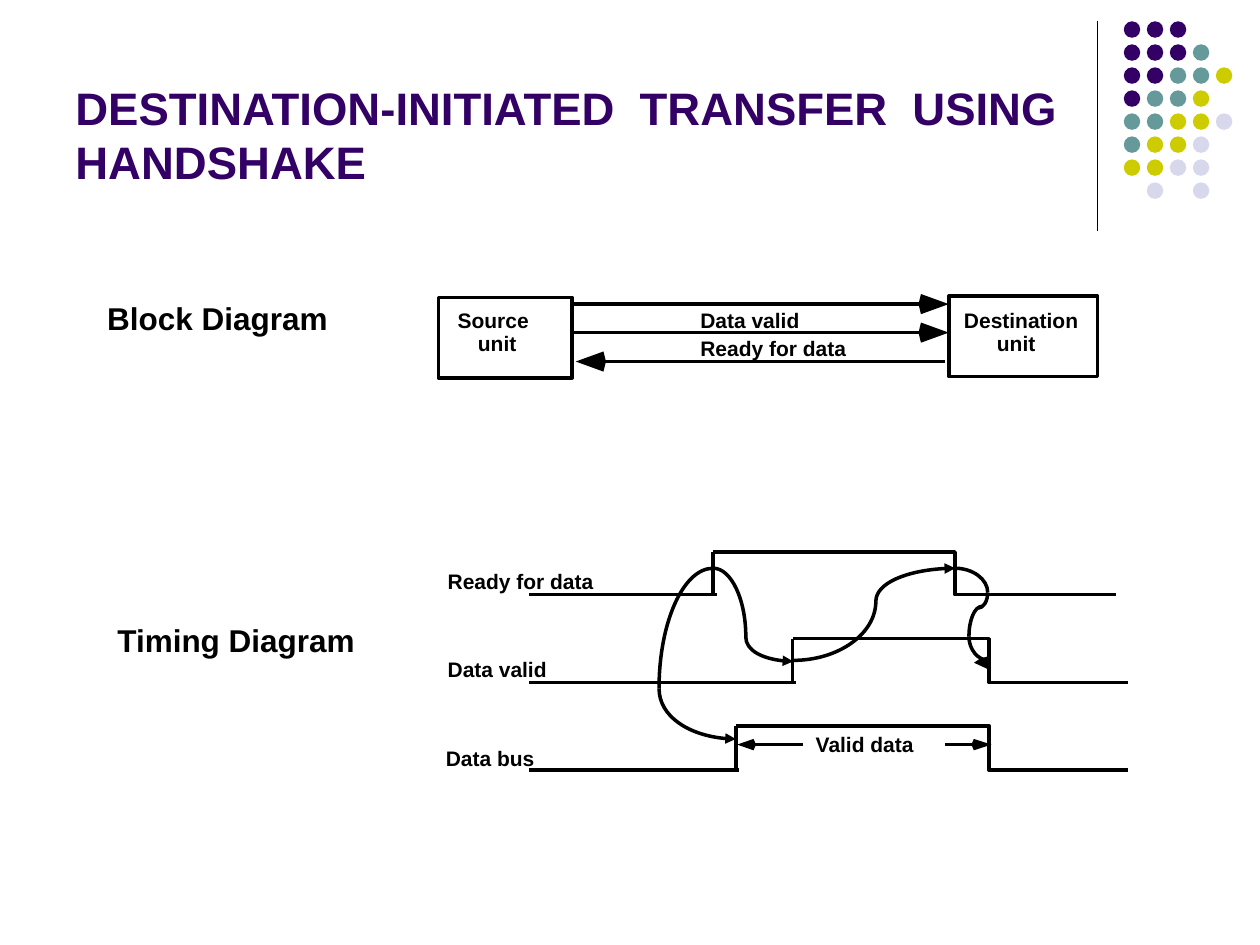
import dataclasses
import typing

import lxml.etree
import pptx
import pptx.dml.color
import pptx.enum.shapes
import pptx.enum.text
import pptx.oxml.ns
import pptx.util

Pt = pptx.util.Pt
qn = pptx.oxml.ns.qn
Point = typing.Tuple[float, float]


@dataclasses.dataclass(frozen=True)
class Theme:
    font: str = "Arial"
    ink: str = "000000"
    paper: str = "FFFFFF"
    purple: str = "330066"
    teal: str = "669999"
    yellow: str = "CCCC00"
    lavender: str = "D8D8EC"
    title_size: float = 26
    heading_size: float = 18
    label_size: float = 12
    stroke: float = 2
    thin_stroke: float = 0.75


THEME = Theme()


@dataclasses.dataclass(frozen=True)
class Label:
    text: str
    left: float
    top: float
    width: float
    height: float = 20.2
    size: float = THEME.label_size


@dataclasses.dataclass(frozen=True)
class Signal:
    rise: float
    fall: float
    end: float
    high: float
    low: float


@dataclasses.dataclass(frozen=True)
class Arrow:
    start: float
    tip: float
    y: float
    head_length: float
    head_width: float


@dataclasses.dataclass(frozen=True)
class Arc:
    upright_end: Point
    level_end: Point
    arrow: bool = False


BEZIER_RATIO = 0.55
SIGNAL_START = 302.4
DOT_ROWS = ("PPP", "PPPT", "PPTTY", "PTTY", "TTYYL", "TYYL", "YYLL", " L L")
DOT_COLOURS = {"P": THEME.purple, "T": THEME.teal, "Y": THEME.yellow, "L": THEME.lavender}
DOT_LEFT, DOT_TOP, DOT_PITCH, DOT_SIZE = 642.2, 12.2, 13.15, 9.4

LABELS = (
    Label("Block Diagram", 54.2, 169.9, 141, 26.6, THEME.heading_size),
    Label("Timing Diagram", 60, 353.9, 151, 26.6, THEME.heading_size),
    Label("Source", 254.4, 173.8, 57),
    Label("unit", 266, 187.2, 38),
    Label("Destination", 543.8, 173.8, 81),
    Label("unit", 562.6, 187.2, 38),
    Label("Data valid", 393.1, 173.8, 73),
    Label("Ready for data", 393.1, 189.8, 99),
    Label("Ready for data", 248.7, 323, 99),
    Label("Data valid", 248.7, 373, 73),
    Label("Data bus", 247.7, 424.1, 68),
    Label("Valid data", 459, 415.9, 73),
)
SIGNALS = (
    Signal(407.5, 545.8, 637.9, 315.4, 339.8),
    Signal(452.9, 565.2, 644.4, 365, 390),
    Signal(420.5, 565.2, 644.4, 414.7, 440),
)
ARROWS = (
    Arrow(328.3, 542.2, 173.8, 17.3, 11.5),
    Arrow(328.3, 542.2, 190.1, 17.3, 11.5),
    Arrow(540, 329, 206.6, 17.3, 11.5),
    Arrow(458.6, 421.2, 425.5, 10.8, 6.5),
    Arrow(540, 566.6, 425.5, 11.5, 6.5),
)
ARCS = (
    Arc((376.6, 393.5), (407.5, 324.7)),
    Arc((376.6, 393.5), (420.5, 422.3), True),
    Arc((426.2, 364), (407.5, 324.7)),
    Arc((426.2, 364), (453.3, 378), True),
    Arc((500.5, 343.6), (453.3, 377.4)),
    Arc((500.5, 343.6), (545.8, 324.7), True),
    Arc((553.7, 363.6), (565.2, 377.4)),
    Arc((553.7, 363.6), (561.1, 346.5)),
    Arc((564.4, 338.6), (559, 347.5)),
    Arc((564.4, 338.6), (545.5, 324.7)),
)


def colour(value: str) -> pptx.dml.color.RGBColor:
    return pptx.dml.color.RGBColor.from_string(value)


def style_line(line, width: float = THEME.stroke) -> None:
    line.color.rgb = colour(THEME.ink)
    line.width = Pt(width)


def style_text(frame, text: str, size: float, ink: str):
    frame.text = text
    paragraph = frame.paragraphs[0]
    font = paragraph.runs[0].font
    font.name, font.size, font.bold = THEME.font, Pt(size), True
    font.color.rgb = colour(ink)
    return paragraph


def draw_line(slide, start: Point, end: Point, width: float = THEME.stroke) -> None:
    connector = slide.shapes.add_connector(
        pptx.enum.shapes.MSO_CONNECTOR.STRAIGHT, *(Pt(value) for value in start + end))
    style_line(connector.line, width)
    lxml.etree.SubElement(connector._element.spPr, qn("a:effectLst"))


def draw_path(slide, points: typing.Sequence[Point], filled: bool = False):
    (left, top), *others = [(Pt(x), Pt(y)) for x, y in points]
    builder = slide.shapes.build_freeform(left, top)
    builder.add_line_segments(others, close=filled)
    shape = builder.convert_to_shape()
    shape.shadow.inherit = False
    if filled:
        shape.fill.solid()
        shape.fill.fore_color.rgb = colour(THEME.ink)
        shape.line.fill.background()
    else:
        shape.fill.background()
        style_line(shape.line)
    return shape


def draw_shape(slide, kind, box: typing.Sequence[float], fill: typing.Optional[str], outlined: bool) -> None:
    shape = slide.shapes.add_shape(kind, *(Pt(value) for value in box))
    shape.shadow.inherit = False
    if fill:
        shape.fill.solid()
        shape.fill.fore_color.rgb = colour(fill)
    else:
        shape.fill.background()
    if outlined:
        style_line(shape.line)
    else:
        shape.line.fill.background()


def draw_dots(slide) -> None:
    for row, pattern in enumerate(DOT_ROWS):
        for column, key in enumerate(pattern):
            if key in DOT_COLOURS:
                box = (DOT_LEFT + column * DOT_PITCH, DOT_TOP + row * DOT_PITCH, DOT_SIZE, DOT_SIZE)
                draw_shape(slide, pptx.enum.shapes.MSO_SHAPE.OVAL, box, DOT_COLOURS[key], False)


def draw_title(slide) -> None:
    frame = slide.shapes.add_textbox(Pt(36), Pt(9.2), Pt(594), Pt(102.2)).text_frame
    frame.word_wrap = True
    frame.vertical_anchor = pptx.enum.text.MSO_ANCHOR.BOTTOM
    frame.margin_right = Pt(25.4)
    paragraph = style_text(
        frame, "DESTINATION-INITIATED TRANSFER USING HANDSHAKE", THEME.title_size, THEME.purple)
    paragraph.alignment = pptx.enum.text.PP_ALIGN.JUSTIFY


def draw_label(slide, label: Label) -> None:
    box = (label.left, label.top, label.width, label.height)
    frame = slide.shapes.add_textbox(*(Pt(value) for value in box)).text_frame
    frame.word_wrap = False
    style_text(frame, label.text, label.size, THEME.ink).line_spacing = 0.9


def draw_signal(slide, signal: Signal) -> None:
    draw_line(slide, (SIGNAL_START, signal.low), (signal.rise + 2, signal.low))
    draw_line(slide, (signal.rise, signal.high), (signal.rise, signal.low))
    draw_path(slide, [(signal.rise, signal.high), (signal.fall, signal.high),
                      (signal.fall, signal.low), (signal.end, signal.low)])


def draw_arrow(slide, arrow: Arrow) -> None:
    direction = 1 if arrow.tip > arrow.start else -1
    back = arrow.tip - direction * arrow.head_length
    corner, half = back + direction * 1.4, arrow.head_width / 2
    draw_line(slide, (arrow.start, arrow.y), (back + direction * 2, arrow.y))
    draw_path(slide, [(arrow.tip, arrow.y), (corner, arrow.y - half),
                      (back, arrow.y), (corner, arrow.y + half)], filled=True)


def draw_arc(slide, arc: Arc) -> None:
    (x1, y1), (x2, y2) = arc.upright_end, arc.level_end
    controls = [(x1, y1 + BEZIER_RATIO * (y2 - y1)), (x2 + BEZIER_RATIO * (x1 - x2), y2)]
    shape = draw_path(slide, [arc.upright_end, *controls, arc.level_end])
    outline = next(shape._element.iter(qn("a:path")))
    curve = lxml.etree.SubElement(outline, qn("a:cubicBezTo"))
    for segment in outline.findall(qn("a:lnTo")):
        curve.append(segment[0])
        outline.remove(segment)
    if arc.arrow:
        lxml.etree.SubElement(shape.line._get_or_add_ln(), qn("a:tailEnd"), type="triangle")


def main() -> None:
    presentation = pptx.Presentation()
    presentation.slide_width, presentation.slide_height = Pt(720), Pt(540)
    slide = presentation.slides.add_slide(presentation.slide_layouts[6])
    draw_line(slide, (627.1, 12.2), (627.1, 131.8), THEME.thin_stroke)
    draw_dots(slide)
    draw_title(slide)
    for arrow in ARROWS:
        draw_arrow(slide, arrow)
    rectangle = pptx.enum.shapes.MSO_SHAPE.RECTANGLE
    draw_shape(slide, rectangle, (250.6, 169.9, 76.3, 46.1), THEME.paper, True)
    draw_shape(slide, rectangle, (542.2, 169.2, 85, 46.1), None, True)
    for signal in SIGNALS:
        draw_signal(slide, signal)
    for label in LABELS:
        draw_label(slide, label)
    for arc in ARCS:
        draw_arc(slide, arc)
    draw_path(slide, [(556.6, 378.7), (560, 376.4), (564.5, 375.1), (565.9, 383)], filled=True)
    presentation.save("out.pptx")


if __name__ == "__main__":
    main()
